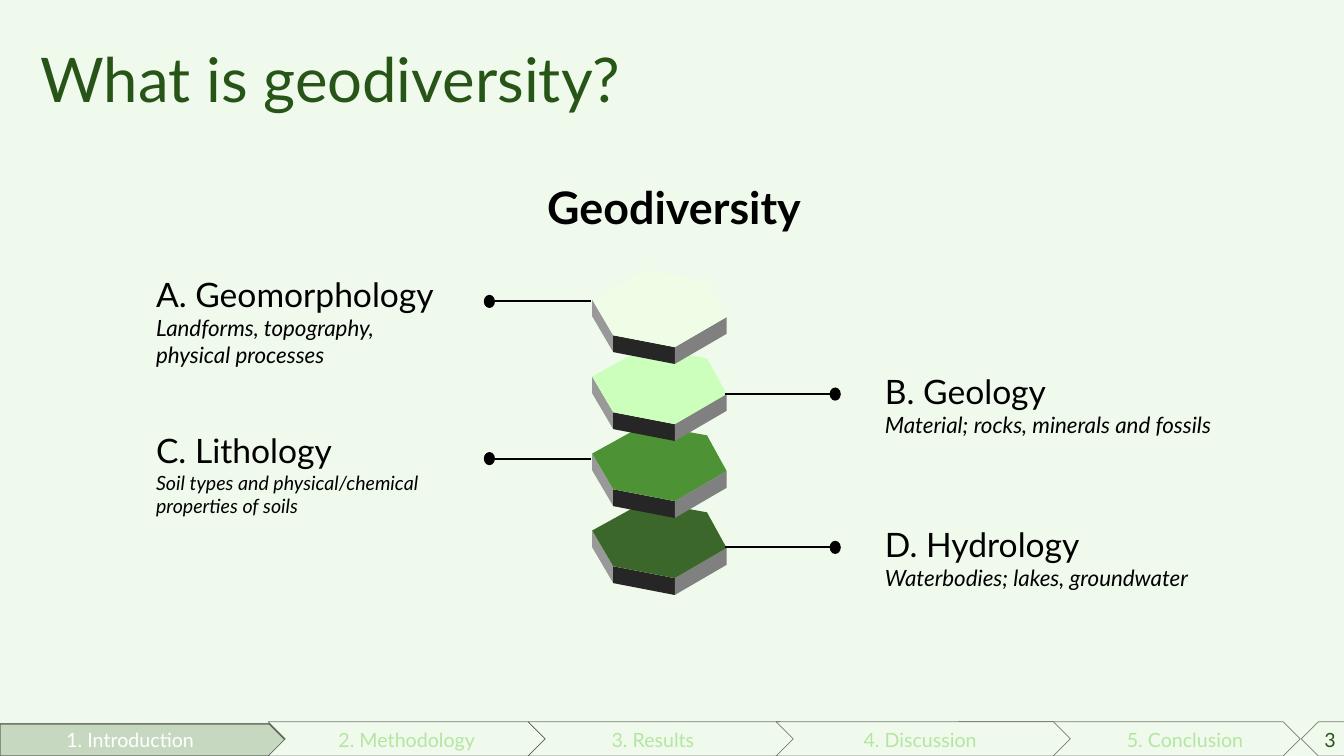
from lxml.etree import SubElement
from pptx import Presentation
from pptx.dml.color import RGBColor
from pptx.enum.shapes import MSO_CONNECTOR, MSO_SHAPE
from pptx.enum.text import MSO_ANCHOR, MSO_AUTO_SIZE, PP_ALIGN
from pptx.oxml.ns import qn
from pptx.util import Pt

COLORS = {
    "background": "F0FAEC", "dark": "275417", "pale": "B4E5A2",
    "black": "000000", "white": "FFFFFF",
    "left": "999999", "front": "262626", "right": "808080",
}
LAYERS = ["EFFDE6", "CCFFBB", "4D9235", "3B672B"]


def rgb(name):
    """Return the colour for a palette name or a hex string."""
    return RGBColor.from_string(COLORS.get(name, name))


def set_alpha(parent, percent):
    """Make the solid fill under an element partly transparent."""
    SubElement(parent.find(qn("a:solidFill"))[0], qn("a:alpha"), val=str(percent * 1000))


class Deck:
    """Slide style and builders, with lengths in points."""

    font = "Lato"

    def __init__(self):
        """Create the presentation and its slide."""
        self.prs = Presentation()
        self.prs.slide_width, self.prs.slide_height = Pt(960), Pt(540)
        self.s = self.prs.slides.add_slide(self.prs.slide_layouts[5])
        self.s.background.fill.solid()
        self.s.background.fill.fore_color.rgb = rgb("background")

    def style(self, r, size, color="black", bold=False, italic=False):
        """Format one run."""
        r.font.name, r.font.size = self.font, Pt(size)
        r.font.bold, r.font.italic = bold, italic
        r.font.color.rgb = rgb(color)

    def heading(self, sp, text, size, color, bold=False):
        """Fill a shape with a left-aligned, vertically centred heading."""
        tf = sp.text_frame
        tf.word_wrap, tf.auto_size = True, MSO_AUTO_SIZE.NONE
        tf.vertical_anchor = MSO_ANCHOR.MIDDLE
        p = tf.paragraphs[0]
        p.text, p.alignment, p.line_spacing = text, PP_ALIGN.LEFT, 0.9
        self.style(p.runs[0], size, color, bold)

    def title(self, text, x, y, w, h):
        """Place the slide title."""
        sp = self.s.shapes.title
        sp.left, sp.top, sp.width, sp.height = Pt(x), Pt(y), Pt(w), Pt(h)
        self.heading(sp, text, 44, "dark")

    def box(self, x, y, w, h):
        """Add an empty text box."""
        sp = self.s.shapes.add_textbox(Pt(x), Pt(y), Pt(w), Pt(h))
        sp.text_frame.word_wrap = True
        return sp

    def label(self, text, x, y, w, h, size=14, color="black"):
        """Add a one-line label."""
        p = self.box(x, y, w, h).text_frame.paragraphs[0]
        p.text = text
        self.style(p.runs[0], size, color)

    def entry(self, name, detail, x, y, w, h, size):
        """Add a term with its italic explanation on the next line."""
        p = self.box(x, y, w, h).text_frame.paragraphs[0]
        p.text = f"{name}\v{detail}"
        self.style(p.runs[0], 24)
        self.style(p.runs[1], size, italic=True)

    def face(self, points, color):
        """Add a filled polygon."""
        pts = [(Pt(x), Pt(y)) for x, y in points]
        builder = self.s.shapes.build_freeform(*pts[0])
        builder.add_line_segments(pts[1:])
        sp = builder.convert_to_shape()
        sp.shadow.inherit = False
        sp.fill.solid()
        sp.fill.fore_color.rgb = rgb(color)
        sp.line.fill.background()

    def slab(self, y, color, depth=12):
        """Add a hexagonal slab seen from above."""
        top = [(423, y + 21), (461, y), (505, y + 8), (519, y + 33.5),
               (482, y + 55), (438, y + 46.5)]
        sides = [("left", top[0], top[5]), ("front", top[5], top[4]), ("right", top[4], top[3])]
        for side, a, b in sides:
            self.face([a, b, (b[0], b[1] + depth), (a[0], a[1] + depth)], side)
        self.face(top, color)

    def pointer(self, x1, x2, y, dot_x):
        """Add a horizontal line with a round dot."""
        c = self.s.shapes.add_connector(MSO_CONNECTOR.STRAIGHT, Pt(x1), Pt(y), Pt(x2), Pt(y))
        c.line.color.rgb, c.line.width = rgb("black"), Pt(1.5)
        SubElement(c._element.spPr, qn("a:effectLst"))
        sp = self.s.shapes.add_shape(MSO_SHAPE.FLOWCHART_CONNECTOR,
                                     Pt(dot_x), Pt(y - 4.7), Pt(8), Pt(9.4))
        sp.shadow.inherit = False
        sp.fill.solid()
        sp.fill.fore_color.rgb = rgb("black")
        sp.line.fill.background()

    def step(self, kind, x, y, w, h, color="background", line=0.5):
        """Add an arrow-shaped segment of the progress bar."""
        sp = self.s.shapes.add_shape(kind, Pt(x), Pt(y), Pt(w), Pt(h))
        sp.shadow.inherit = False
        sp.fill.solid()
        sp.fill.fore_color.rgb = rgb(color)
        sp.line.color.rgb, sp.line.width = rgb("black"), Pt(line)
        set_alpha(sp._element.spPr.find(qn("a:ln")), 50)
        return sp


def main():
    """Build the slide."""
    deck = Deck()
    deck.title("What is geodiversity?", 21.6, 6.5, 828, 104.4)

    for i, color in reversed(list(enumerate(LAYERS))):
        deck.slab(193 + 55 * i, color)
    for y in (215.3, 327.6):
        deck.pointer(422, 345.6, y, 345.6)
    for y in (281.5, 391):
        deck.pointer(517.7, 592.6, y, 592.6)

    deck.heading(deck.box(383.8, 97.9, 828, 104.4), "Geodiversity", 32, "black", bold=True)
    for entry in [
        ("A. Geomorphology", "Landforms, topography, physical processes",
         104.4, 192.2, 224.6, 74.9, 16),
        ("B. Geology", "Material; rocks, minerals and fossils",
         625, 261.4, 270, 55.4, 16),
        ("C. Lithology", "Soil types and physical/chemical properties of soils",
         104.4, 303.8, 224.6, 70.6, 14),
        ("D. Hydrology", "Waterbodies; lakes, groundwater",
         625, 370.8, 273.6, 55.4, 16),
    ]:
        deck.entry(*entry)

    first = deck.step(MSO_SHAPE.PENTAGON, 0, 517, 203.8, 23, "dark", 1)
    set_alpha(first._element.spPr, 20)
    for x, w in [(191.5, 198), (377.3, 192.2), (684.7, 244.1), (554.4, 210.2)]:
        deck.step(MSO_SHAPE.CHEVRON, x, 515.5, w, 24.5)
    deck.step(MSO_SHAPE.PENTAGON, 929.5, 515.5, 31.7, 24.5).rotation = 180

    for text, x, w, color in [
        ("1. Introduction", 40.3, 150.5, "white"),
        ("2. Methodology", 234.7, 155.5, "pale"),
        ("3. Results", 429.8, 149, "pale"),
        ("4. Discussion", 609.8, 171.4, "pale"),
        ("5. Conclusion", 797.8, 121.7, "pale"),
        ("3", 938.9, 27.4, "dark"),
    ]:
        deck.label(text, x, 516.2, w, 24.5, color=color)

    deck.prs.save("out.pptx")


if __name__ == "__main__":
    main()
